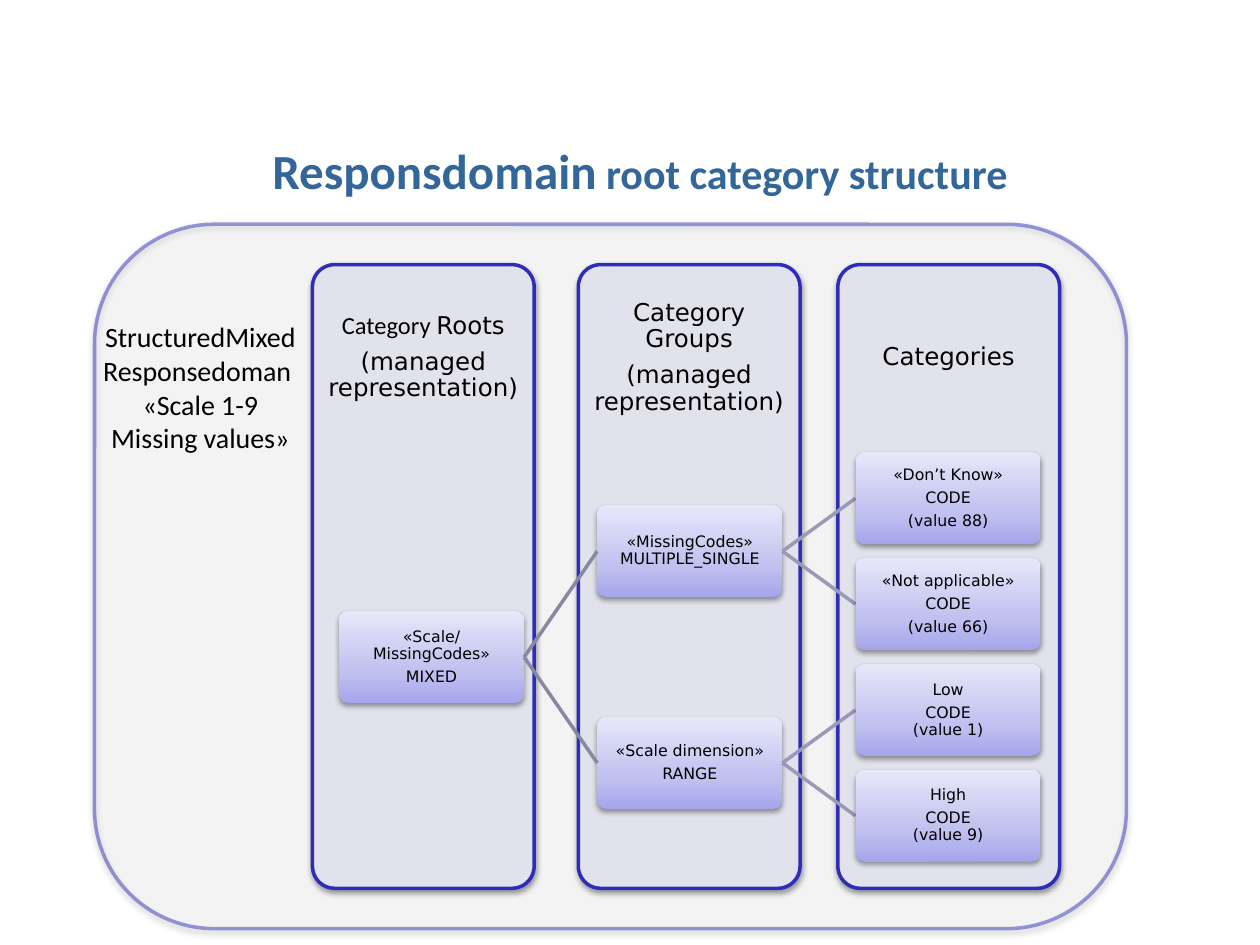
from copy import deepcopy

from lxml import etree
from pptx import Presentation
from pptx.dml.color import RGBColor
from pptx.enum.shapes import MSO_CONNECTOR, MSO_SHAPE
from pptx.enum.text import MSO_ANCHOR, PP_ALIGN
from pptx.oxml.ns import qn
from pptx.util import Inches, Pt

ROUNDED = MSO_SHAPE.ROUNDED_RECTANGLE
STRAIGHT = MSO_CONNECTOR.STRAIGHT
MIDDLE, TOP = MSO_ANCHOR.MIDDLE, MSO_ANCHOR.TOP
CENTER = PP_ALIGN.CENTER

COLORS = {
    "title": "336699", "text": "000000", "panel": "E2E2EC", "border": "2D2DB9",
    "root_link": "8888A2", "group_link": "9A9AB7", "shadow": "000000",
}
NODE_GRADIENT = [(0, "A5A5EB"), (0.35, "C1C1F0"), (1, "E7E7FA")]
SANS, BODY = "DejaVu Sans", "Calibri"

TITLE = [[("Responsdomain", {"size": 28}), " root category structure"]]
DOMAIN = ["StructuredMixedResponsedoman ", "«Scale 1-9 Missing values»"]
COLUMNS = [
    (2.48, [[("Category ", {"font": BODY}), "Roots"], "(managed representation)"]),
    (4.59, ["Category Groups", "(managed representation)"]),
    (6.65, ["Categories"]),
]
ROOT = ["«Scale/MissingCodes»", "MIXED"]
GROUPS = [
    (["«MissingCodes»\nMULTIPLE_SINGLE"],
     [["«Don’t Know»", "CODE", "(value 88)"],
      ["«Not applicable»", "CODE", "(value 66)"]]),
    (["«Scale dimension»", "RANGE"],
     [["Low", "CODE\n(value 1)"],
      ["High", "CODE\n(value 9)"]]),
]

COLUMN_TOP, COLUMN_W, COLUMN_H, HEADER_H = 2.1, 1.76, 4.95, 1.48
NODE_W, NODE_H = 1.47, 0.73
NODE_LEFT, NODE_STEP = 2.69, 2.05
LEAF_TOP, LEAF_STEP = 3.59, 0.84


def rgb(name):
    return RGBColor.from_string(COLORS[name])


def write(frame, paragraphs, size=9, font=SANS, color="text", bold=False,
          inset=(0.1, 0.05), anchor=MIDDLE, line=None, after=0):
    frame.word_wrap = True
    frame.vertical_anchor = anchor
    frame.margin_left = frame.margin_right = Inches(inset[0])
    frame.margin_top = frame.margin_bottom = Inches(inset[1])
    for index, content in enumerate(paragraphs):
        paragraph = frame.add_paragraph() if index else frame.paragraphs[0]
        paragraph.alignment = CENTER
        paragraph.space_after = Pt(after)
        if line:
            paragraph.line_spacing = line
        for part in [content] if isinstance(content, str) else content:
            words, own = (part, {}) if isinstance(part, str) else part
            for number, row in enumerate(words.split("\n")):
                if number:
                    paragraph.add_line_break()
                run = paragraph.add_run()
                run.text = row
                run.font.size = Pt(own.get("size", size))
                run.font.name = own.get("font", font)
                run.font.bold = bold
                run.font.color.rgb = rgb(color)


def text_box(left, top, width, height, paragraphs, **formatting):
    box = slide.shapes.add_textbox(*map(Inches, (left, top, width, height)))
    write(box.text_frame, paragraphs, **formatting)


def set_alpha(fill, percent):
    color = fill.find(f".//{qn('a:srgbClr')}")
    etree.SubElement(color, qn("a:alpha"), val=str(percent * 1000))


def rounded(left, top, width, height, corner):
    shape = slide.shapes.add_shape(ROUNDED, *map(Inches, (left, top, width, height)))
    shape.adjustments[0] = corner
    shape.shadow.inherit = False
    effects = shape._element.spPr.find(qn("a:effectLst"))
    shadow = etree.SubElement(effects, qn("a:outerShdw"), blurRad="40000",
                              dist="20000", dir="5400000", rotWithShape="0")
    etree.SubElement(shadow, qn("a:srgbClr"), val=COLORS["shadow"])
    set_alpha(shadow, 38)
    return shape


def panel(*place, corner=0.1):
    shape = rounded(*place, corner)
    shape.fill.solid()
    shape.fill.fore_color.rgb = rgb("panel")
    shape.line.color.rgb = rgb("border")
    shape.line.width = Pt(2)
    return shape


def node(level, middle, paragraphs):
    shape = rounded(NODE_LEFT + level * NODE_STEP, middle - NODE_H / 2,
                    NODE_W, NODE_H, 0.1)
    shape.line.fill.background()
    shape.fill.gradient()
    shape.fill.gradient_angle = 90
    stops = shape._element.spPr.find(f".//{qn('a:gsLst')}")
    stops.append(deepcopy(stops[-1]))
    for stop, (position, color) in zip(shape.fill.gradient_stops, NODE_GRADIENT):
        stop.position = position
        stop.color.rgb = RGBColor.from_string(color)
    write(shape.text_frame, paragraphs, inset=(0.03, 0.03), line=0.9, after=3.4)


def link(level, start, end, color):
    left = NODE_LEFT + level * NODE_STEP + NODE_W
    right = NODE_LEFT + (level + 1) * NODE_STEP
    connector = slide.shapes.add_connector(
        STRAIGHT, *map(Inches, (left, start, right, end)))
    connector.line.color.rgb = rgb(color)
    connector.line.width = Pt(2)
    etree.SubElement(connector._element.spPr, qn("a:effectLst"))


presentation = Presentation()
presentation.slide_width, presentation.slide_height = Inches(10), Inches(7.5)
slide = presentation.slides.add_slide(presentation.slide_layouts[6])

text_box(0.83, 0.91, 8.5, 0.87, TITLE, size=24, font=BODY, color="title", bold=True)

domain = panel(0.75, 1.78, 8.19, 5.59, corner=0.17)
properties = domain._element.spPr
set_alpha(properties.find(qn("a:solidFill")), 10)
set_alpha(properties.find(qn("a:ln")), 48)

for left, header in COLUMNS:
    panel(left, COLUMN_TOP, COLUMN_W, COLUMN_H)
    text_box(left, COLUMN_TOP, COLUMN_W, HEADER_H, header, size=14,
             inset=(0.11, 0.11), line=0.9, after=5.3)

leaf_middle = LEAF_TOP + NODE_H / 2
group_middles = []
for group, categories in GROUPS:
    middles = [leaf_middle + i * LEAF_STEP for i in range(len(categories))]
    leaf_middle = middles[-1] + LEAF_STEP
    group_middle = sum(middles) / len(middles)
    group_middles.append(group_middle)
    node(1, group_middle, group)
    for category, middle in zip(categories, middles):
        link(1, group_middle, middle, "group_link")
        node(2, middle, category)

root_middle = sum(group_middles) / len(group_middles)
node(0, root_middle, ROOT)
for group_middle in group_middles:
    link(0, root_middle, group_middle, "root_link")

text_box(0.68, 2.49, 1.82, 1.45, DOMAIN, size=16, font=BODY, anchor=TOP)

presentation.save("out.pptx")
